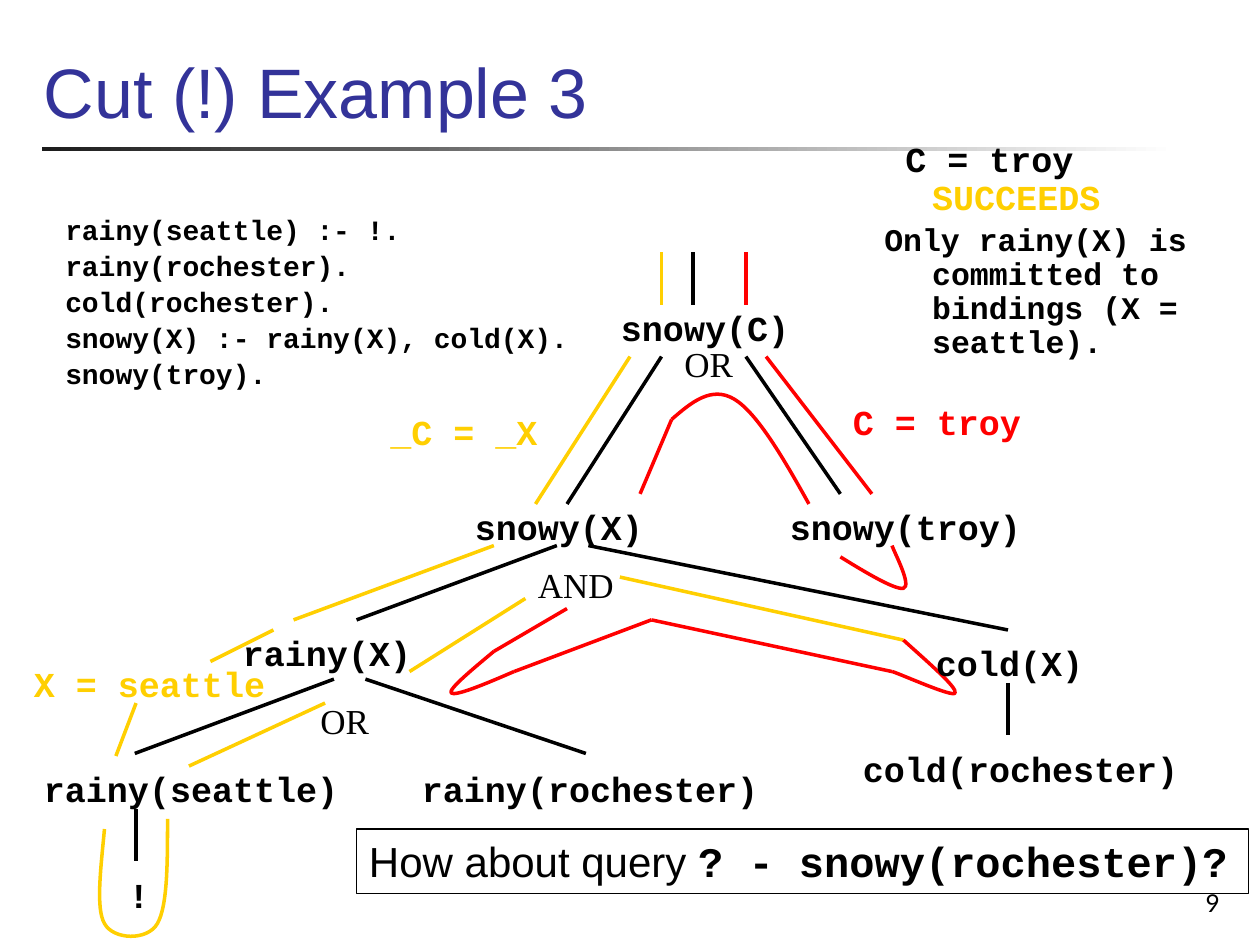
from dataclasses import dataclass
from typing import NamedTuple

from lxml import etree
from pptx import Presentation
from pptx.dml.color import RGBColor
from pptx.enum.shapes import MSO_CONNECTOR, MSO_SHAPE
from pptx.enum.text import MSO_ANCHOR, PP_ALIGN
from pptx.oxml.ns import qn
from pptx.util import Inches, Pt

STRAIGHT = MSO_CONNECTOR.STRAIGHT
RECT = MSO_SHAPE.RECTANGLE
TOP, BOTTOM = MSO_ANCHOR.TOP, MSO_ANCHOR.BOTTOM
LEFT, CENTER, RIGHT = PP_ALIGN.LEFT, PP_ALIGN.CENTER, PP_ALIGN.RIGHT


@dataclass(frozen=True)
class Theme:
    black: str = "000000"
    gold: str = "FFCF01"
    red: str = "FF0000"
    blue: str = "333399"
    dark: str = "1C1C1C"
    white: str = "FFFFFF"
    code: str = "Courier New"
    sans: str = "Arial"
    serif: str = "Times New Roman"
    lato: str = "Lato"
    head: int = 40
    query: int = 24
    node: int = 20
    note: int = 18
    rule: int = 16
    page: int = 14
    stroke: int = 2


T = Theme()


class Run(NamedTuple):
    text: str
    size: int = T.node
    name: str = T.code
    color: str = T.black
    bold: bool = True


class Label(NamedTuple):
    left: float
    top: float
    width: float
    text: str
    color: str = T.black


class Edge(NamedTuple):
    x1: float
    y1: float
    x2: float
    y2: float
    color: str = T.black


class Curve(NamedTuple):
    color: str
    start: tuple
    bends: list  # three points for each Bezier piece


RULES = ["rainy(seattle) :- !.", "rainy(rochester).", "cold(rochester).",
         "snowy(X) :- rainy(X), cold(X).", "snowy(troy)."]

LABELS = [
    Label(4.83, 2.42, 1.58, "snowy(C)"),
    Label(3.67, 4, 1.67, "snowy(X)"),
    Label(6.17, 4, 2.17, "snowy(troy)"),
    Label(1.83, 5, 1.67, "rainy(X)"),
    Label(7.33, 5.08, 1.58, "cold(X)"),
    Label(0.25, 6.08, 2.58, "rainy(seattle)"),
    Label(3.25, 6.08, 3.08, "rainy(rochester)"),
    Label(6.75, 5.92, 2.75, "cold(rochester)"),
    Label(0.92, 6.92, 0.33, "!"),
    Label(3, 3.25, 1.67, "_C = _X", T.gold),
    Label(0.17, 5.25, 2.08, "X = seattle", T.gold),
    Label(6.67, 3.17, 1.92, "C = troy", T.red),
]

GATES = [Label(5.33, 2.67, 0.59, "OR"), Label(4.17, 4.42, 0.8, "AND"),
         Label(2.44, 5.5, 0.59, "OR")]

EDGES = [
    # Search tree
    Edge(5.5, 2, 5.5, 2.42),
    Edge(5.25, 2.83, 4.5, 4),
    Edge(5.92, 2.83, 6.67, 3.92),
    Edge(4.42, 4.33, 2.83, 4.92),
    Edge(4.67, 4.33, 8, 5),
    Edge(2.65, 5.39, 1.07, 5.98),
    Edge(2.9, 5.39, 4.65, 5.98),
    Edge(8, 5.42, 8, 5.83),
    Edge(1.08, 6.42, 1.08, 6.83),
    # First try
    Edge(5.25, 2, 5.25, 2.42, T.gold),
    Edge(5, 2.83, 4.25, 4, T.gold),
    Edge(3.92, 4.33, 2.33, 4.92, T.gold),
    Edge(2.17, 5, 1.67, 5.25, T.gold),
    Edge(1.08, 5.58, 0.92, 6, T.gold),
    Edge(2.58, 5.58, 1.5, 6.08, T.gold),
    Edge(4.17, 4.75, 3.25, 5.33, T.gold),
    Edge(4.92, 4.58, 7.17, 5.08, T.gold),
    # Backtracking
    Edge(5.17, 4.92, 4.08, 5.33, T.red),
    Edge(5.17, 4.92, 7.08, 5.33, T.red),
    Edge(4.5, 4.83, 3.92, 5.17, T.red),
    Edge(5.33, 3.33, 5.08, 3.92, T.red),
    Edge(6.08, 2.83, 6.92, 3.92, T.red),
    Edge(5.92, 2, 5.92, 2.42, T.red),
]

CURVES = [
    Curve(T.red, (7.17, 5.08), [(7.38, 5.27), (7.6, 5.46), (7.58, 5.5),
                                (7.57, 5.54), (7.17, 5.36), (7.08, 5.33)]),
    Curve(T.gold, (0.83, 6.58), [(0.8, 6.9), (0.76, 7.21), (0.83, 7.33),
                                 (0.9, 7.46), (1.17, 7.47), (1.25, 7.33),
                                 (1.33, 7.19), (1.33, 6.85), (1.33, 6.5)]),
    Curve(T.red, (5.33, 3.33), [(5.49, 3.19), (5.65, 3.06), (5.83, 3.17),
                                (6.01, 3.28), (6.22, 3.64), (6.42, 4)]),
    Curve(T.red, (6.67, 4.42), [(6.88, 4.55), (7.1, 4.68), (7.17, 4.67),
                                (7.24, 4.65), (7.1, 4.39), (7.08, 4.33)]),
    Curve(T.red, (3.92, 5.17), [(3.74, 5.32), (3.56, 5.47), (3.58, 5.5),
                                (3.61, 5.53), (3.85, 5.43), (4.08, 5.33)]),
]


def write(frame, paras: list[list[Run]], align=LEFT, anchor=TOP,
          wrap: bool = True, hang: bool = False) -> None:
    """Fill a text frame; hang gives the tight hanging indent of code."""
    frame.word_wrap, frame.vertical_anchor = wrap, anchor
    for i, runs in enumerate(paras):
        para = frame.paragraphs[0] if i == 0 else frame.add_paragraph()
        para.alignment = align
        if hang:
            props = para._p.get_or_add_pPr()
            props.set("marL", str(Inches(0.38)))
            props.set("indent", str(Inches(-0.38)))
            para.line_spacing = 0.9
            para.space_before = Pt(0.2 * runs[0].size if i else 0)
        for item in runs:
            run = para.add_run()
            run.text = item.text
            form = {"size": Pt(item.size), "name": item.name, "bold": item.bold}
            for key, value in form.items():
                setattr(run.font, key, value)
            run.font.color.rgb = RGBColor.from_string(item.color)


def add_text(slide, left: float, top: float, width: float, height: float,
             paras: list[list[Run]], **form) -> None:
    box = slide.shapes.add_textbox(*map(Inches, (left, top, width, height)))
    write(box.text_frame, paras, **form)


def add_rect(slide, left: float, top: float, width: float, height: float):
    rect = slide.shapes.add_shape(RECT, *map(Inches, (left, top, width, height)))
    rect.shadow.inherit = False
    return rect


def paint(line, color: str, width: float = T.stroke) -> None:
    line.color.rgb = RGBColor.from_string(color)
    line.width = Pt(width)


def add_edge(slide, edge: Edge) -> None:
    wire = slide.shapes.add_connector(STRAIGHT, *map(Inches, edge[:4]))
    paint(wire.line, edge.color)
    etree.SubElement(wire._element.spPr, qn("a:effectLst"))


def add_curve(slide, curve: Curve) -> None:
    """Build a freeform, then join each three segments into a Bezier piece."""
    pen = slide.shapes.build_freeform(*map(Inches, curve.start))
    pen.add_line_segments([tuple(map(Inches, p)) for p in curve.bends], close=False)
    shape = pen.convert_to_shape()
    shape.shadow.inherit = False
    shape.fill.background()
    paint(shape.line, curve.color)
    trace = next(shape._element.iter(qn("a:path")))
    steps = trace.findall(qn("a:lnTo"))
    for i in range(0, len(steps), 3):
        bend = etree.SubElement(trace, qn("a:cubicBezTo"))
        for step in steps[i:i + 3]:
            bend.append(step[0])
            trace.remove(step)


def main() -> None:
    deck = Presentation()
    deck.slide_width, deck.slide_height = Inches(10), Inches(7.5)
    slide = deck.slides.add_slide(deck.slide_layouts[6])

    bar = add_rect(slide, 0.33, 1.17, 9, 0.03)
    bar.line.fill.background()
    bar.fill.gradient()
    bar.fill.gradient_angle = 0
    for stop, color in zip(bar.fill.gradient_stops, (T.dark, T.white)):
        stop.color.rgb = RGBColor.from_string(color)

    add_text(slide, 7.7, 6.83, 2.08, 0.5, [[Run("9", T.page, T.lato, bold=False)]],
             align=RIGHT, anchor=BOTTOM)
    add_text(slide, 0.25, 0, 9.52, 1.1,
             [[Run("Cut (!) Example 3", T.head, T.sans, T.blue, False)]], anchor=BOTTOM)
    add_text(slide, 0.42, 1.67, 4.67, 1.17, [[Run(r, T.rule)] for r in RULES], hang=True)
    for edge in EDGES:
        add_edge(slide, edge)
    for curve in CURVES:
        add_curve(slide, curve)
    for tag in LABELS:
        add_text(slide, *tag[:3], 0.33, [[Run(tag.text, color=tag.color)]], hang=True)
    for gate in GATES:
        add_text(slide, *gate[:3], 0.43, [[Run(gate.text, name=T.serif, bold=False)]],
                 align=CENTER, wrap=False)
    add_text(slide, 6.92, 1.08, 2.67, 1.25, [
        [Run(" C = troy"), Run(" SUCCEEDS", color=T.gold)],
        [Run("Only rainy(X) is committed to bindings (X = seattle).", T.note)],
    ], hang=True)

    query = add_rect(slide, 2.83, 6.58, 7.08, 0.51)
    query.fill.background()
    paint(query.line, T.black, 0.75)
    write(query.text_frame, [[Run("How about query ", T.query, T.sans, bold=False),
                              Run("? - snowy(rochester)?", T.query)]], wrap=False)
    deck.save("out.pptx")


if __name__ == "__main__":
    main()
